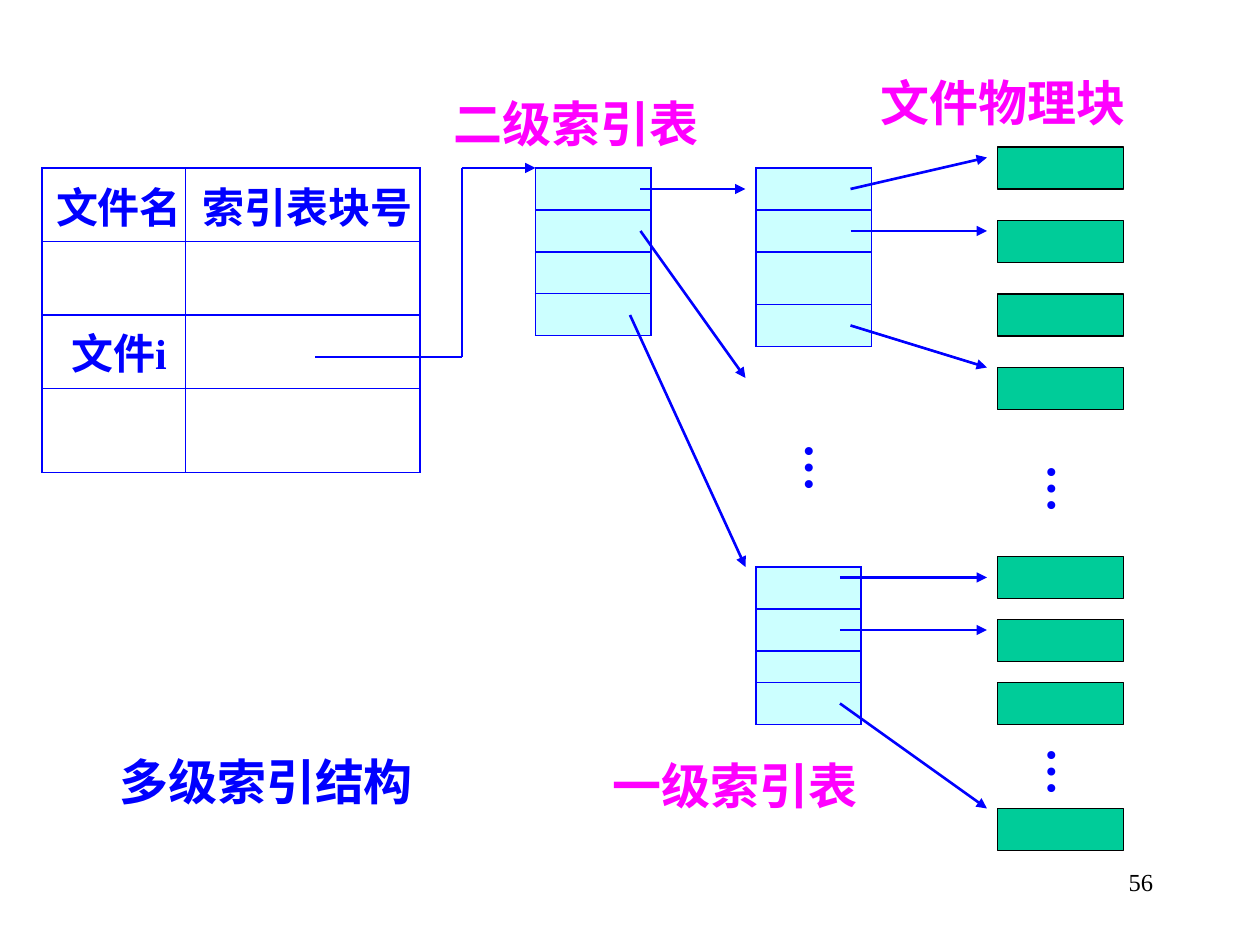
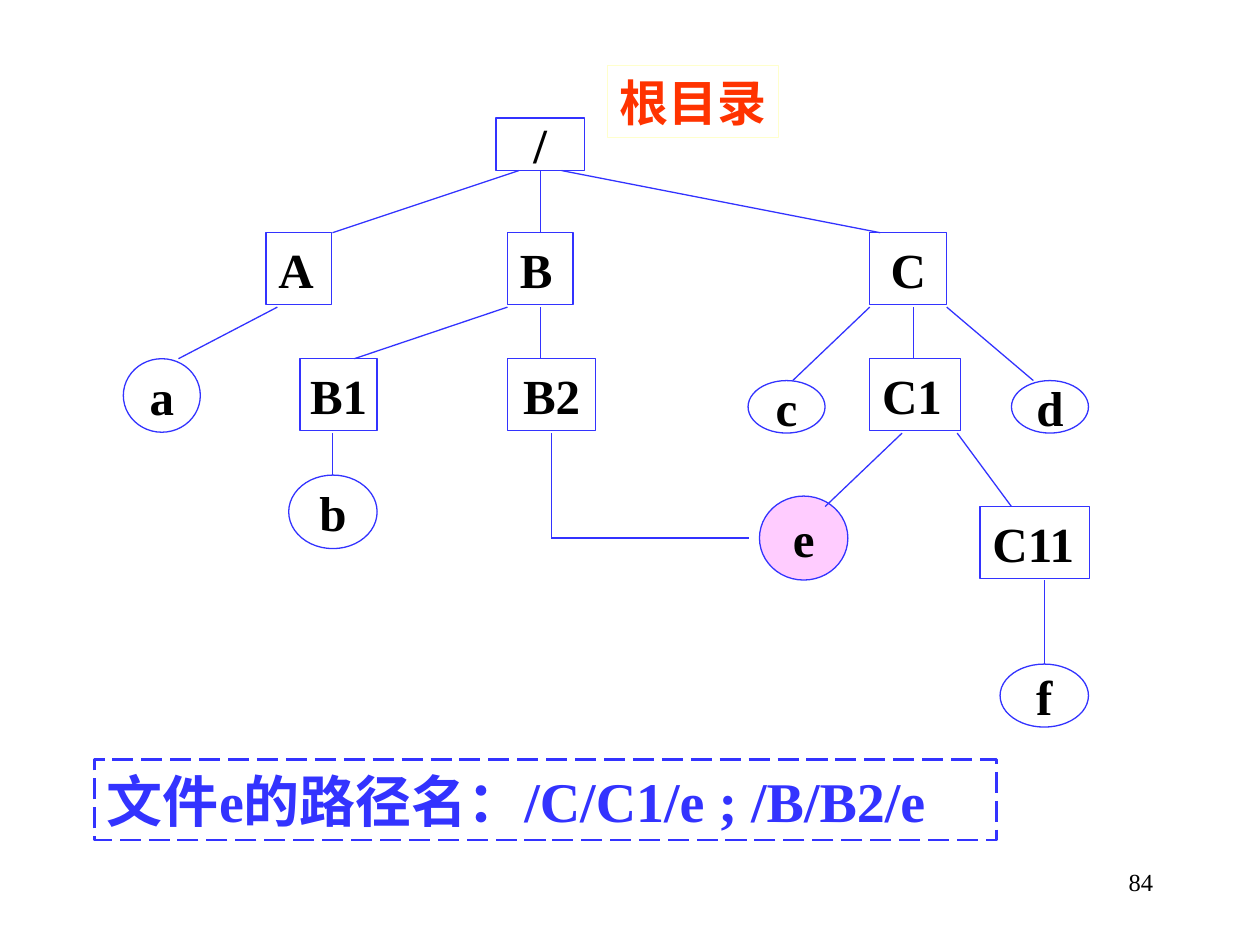
from itertools import pairwise
from typing import Any, NamedTuple

import pptx
import pptx.dml.color
import pptx.enum.dml
import pptx.enum.shapes
import pptx.enum.text
import pptx.oxml.ns
import pptx.util
from lxml import etree

Pt = pptx.util.Pt
qn = pptx.oxml.ns.qn
ALIGN = pptx.enum.text.PP_ALIGN
ANCHOR = pptx.enum.text.MSO_ANCHOR
SHAPE = pptx.enum.shapes.MSO_SHAPE
STRAIGHT = pptx.enum.shapes.MSO_CONNECTOR.STRAIGHT
DASH = pptx.enum.dml.MSO_LINE.LONG_DASH

# Shared look
FACE = "Times New Roman"
BLACK, WHITE = "000000", "FFFFFF"
BLUE, PINK, CYAN, GREEN = "0000FF", "FF00FF", "CCFFFF", "00CC99"
INDIGO, RED, CREAM, ROSE = "3333FF", "FF3300", "FFFFCC", "FFCCFF"
THIN, THICK = 0.75, 1.5


class Label(NamedTuple):
    text: str
    x: float
    y: float
    w: float


class Grid(NamedTuple):
    x: float
    y: float
    cols: list[float]
    rows: list[float]
    fill: str
    words: dict[tuple[int, int], str] = {}


class Node(NamedTuple):
    text: str
    x: float
    y: float
    w: float
    h: float = 41
    kind: Any = SHAPE.RECTANGLE
    fill: str | None = WHITE
    line: str = INDIGO
    left: bool = False
    size: float = 28
    ink: str = BLACK


# Formatting helpers
def shade(hue: str) -> pptx.dml.color.RGBColor:
    return pptx.dml.color.RGBColor.from_string(hue)


def apply(item: Any, form: dict[str, Any]) -> None:
    for key, value in form.items():
        setattr(item, key, value)


def paint(fill: Any, hue: str | None) -> None:
    if hue is None:
        fill.background()
    else:
        fill.solid()
        fill.fore_color.rgb = shade(hue)


def write(frame: Any, text: str, size: float, hue: str,
          align: Any = ALIGN.LEFT, bold: bool = True, **form: Any) -> None:
    apply(frame, form)
    para = frame.paragraphs[0]
    para.alignment = align
    run = para.add_run()
    run.text = text
    apply(run.font, {"name": FACE, "size": Pt(size), "bold": bold})
    run.font.color.rgb = shade(hue)


def inset(side: float, top: float) -> dict[str, Any]:
    return {"margin_left": Pt(side), "margin_right": Pt(side),
            "margin_top": Pt(top), "margin_bottom": Pt(top)}


# Drawing functions
def label(slide: Any, item: Label, size: float, hue: str, **form: Any) -> Any:
    box = slide.shapes.add_textbox(Pt(item.x), Pt(item.y), Pt(item.w), Pt(36))
    write(box.text_frame, item.text, size, hue, **({"word_wrap": True} | form))
    return box


def number(slide: Any, text: str) -> None:
    label(slide, Label(text, 516, 492, 150), 14, BLACK, align=ALIGN.RIGHT, bold=False)


def dots(slide: Any, x: float, y: float) -> None:
    box = label(slide, Label("…", x, y, 48), 28, BLUE, word_wrap=False,
                **inset(3.6, 7.2))
    box.text_frame._txBody.bodyPr.set("vert", "eaVert")


def link(slide: Any, points: list[tuple[float, float]], hue: str,
         width: float, arrow: bool = False) -> None:
    for start, end in pairwise(points):
        line = slide.shapes.add_connector(STRAIGHT, *map(Pt, start + end))
        line.line.color.rgb = shade(hue)
        line.line.width = Pt(width)
        if arrow and end == points[-1]:
            etree.SubElement(line.line._get_or_add_ln(), qn("a:tailEnd"), type="triangle")
        etree.SubElement(line._element.spPr, qn("a:effectLst"))


def edge(cell: Any, hue: str) -> None:
    props = cell._tc.get_or_add_tcPr()
    for side in ("lnL", "lnR", "lnT", "lnB"):
        line = etree.SubElement(props, qn(f"a:{side}"), w=str(Pt(THIN)))
        fill = etree.SubElement(line, qn("a:solidFill"))
        etree.SubElement(fill, qn("a:srgbClr"), val=hue)


def table(slide: Any, grid: Grid) -> None:
    frame = slide.shapes.add_table(len(grid.rows), len(grid.cols), Pt(grid.x), Pt(grid.y),
                                   Pt(sum(grid.cols)), Pt(sum(grid.rows)))
    body = frame.table
    apply(body, {"first_row": False, "horz_banding": False})
    for col, width in zip(body.columns, grid.cols):
        col.width = Pt(width)
    for r, height in enumerate(grid.rows):
        body.rows[r].height = Pt(height)
        for c in range(len(grid.cols)):
            cell = body.cell(r, c)
            edge(cell, BLUE)
            paint(cell.fill, grid.fill)
            apply(cell, inset(0, 0) | {"margin_left": Pt(6),
                                       "vertical_anchor": ANCHOR.MIDDLE})
            if (r, c) in grid.words:
                write(cell.text_frame, grid.words[r, c], 24, BLUE, ALIGN.CENTER)
            else:
                para = cell.text_frame.paragraphs[0]._p
                etree.SubElement(para, qn("a:endParaRPr"), sz="800")


def shape(slide: Any, kind: Any, box: tuple[float, ...], fill: str | None,
          line: str, width: float = THIN) -> Any:
    item = slide.shapes.add_shape(kind, *map(Pt, box))
    item.shadow.inherit = False
    paint(item.fill, fill)
    item.line.color.rgb = shade(line)
    item.line.width = Pt(width)
    return item


def node(slide: Any, item: Node, width: float = THIN) -> Any:
    form = shape(slide, item.kind, item[1:5], item.fill, item.line, width)
    write(form.text_frame, item.text, item.size, item.ink,
          ALIGN.LEFT if item.left else ALIGN.CENTER, word_wrap=False,
          vertical_anchor=ANCHOR.MIDDLE, **inset(7.2 if item.left else 0, 0))
    return form


# Slide 1: index tables
GRIDS = [
    Grid(24, 96, [82, 134], [42, 42, 42, 48], WHITE,
         {(0, 0): "文件名", (0, 1): "索引表块号", (2, 0): "文件i"}),
    Grid(306, 96, [66], [24] * 4, CYAN),
    Grid(432, 96, [66], [24, 24, 30, 24], CYAN),
    Grid(432, 324, [60], [24, 24, 18, 24], CYAN),
]
HEADS = [
    Label("二级索引表", 252, 50, 173),
    Label("一级索引表", 343, 428, 184),
    Label("文件物理块", 496, 38, 181),
]
BLOCKS = [84, 126, 168, 210, 318, 354, 390, 462]
ARROWS = [
    [(180, 204), (264, 204), (264, 96), (306, 96)],
    [(366, 108), (426, 108)],
    [(366, 132), (426, 216)],
    [(360, 180), (426, 324)],
    [(486, 108), (564, 90)],
    [(486, 132), (564, 132)],
    [(486, 186), (564, 210)],
    [(480, 330), (564, 330)],
    [(480, 360), (564, 360)],
    [(480, 402), (564, 462)],
]


def index(deck: Any) -> None:
    slide = deck.slides.add_slide(deck.slide_layouts[5])
    title = slide.shapes.title
    apply(title, {"left": Pt(61), "top": Pt(426), "width": Pt(208), "height": Pt(41)})
    write(title.text_frame, "多级索引结构", 28, BLUE, word_wrap=True,
          auto_size=pptx.enum.text.MSO_AUTO_SIZE.NONE,
          vertical_anchor=ANCHOR.TOP, **inset(7.2, 3.6))
    for grid in GRIDS:
        table(slide, grid)
    for head in HEADS:
        label(slide, head, 28, PINK)
    for y in BLOCKS:
        shape(slide, SHAPE.RECTANGLE, (570, y, 72, 24), GREEN, BLACK)
    for points in ARROWS:
        link(slide, points, BLUE, THICK, True)
    for x, y in [(444, 246), (582.5, 258), (582.5, 420)]:
        dots(slide, x, y)
    number(slide, "56")


# Slide 2: file tree
OVAL = SHAPE.OVAL
NODES = [
    Node("/", 283.5, 67.5, 50.5, 30),
    Node("A", 152, 133, 37.5, left=True),
    Node("B", 290, 133, 37.5, left=True),
    Node("C", 497, 133, 44),
    Node("B1", 171.5, 205, 44),
    Node("B2", 290, 205, 50.5),
    Node("C1", 497, 205, 52, left=True),
    Node("C11", 560, 289.5, 62.5, left=True),
    Node("a", 70.5, 205, 44, 42, OVAL),
    Node("b", 165, 271.5, 50.5, 42, OVAL),
    Node("c", 427.5, 217.5, 44, 30, OVAL),
    Node("d", 578, 217.5, 44, 30, OVAL),
    Node("e", 434, 283.5, 50.5, 48, OVAL, ROSE),
    Node("f", 571.5, 379.5, 50.5, 36, OVAL),
    Node("根目录", 347, 37.5, 98, fill=None, line=CREAM, left=True, ink=RED),
]
ROUTE = Node("文件e的路径名：/C/C1/e ; /B/B2/e", 54, 434, 515.5, 46,
             left=True, size=32, ink=INDIGO)
LINKS = [
    [(309, 97.5), (309, 133)],
    [(296.5, 97.5), (190, 133)],
    [(321, 97.5), (503, 133)],
    [(158.5, 175.5), (102, 205)],
    [(290, 175.5), (202.5, 205)],
    [(309, 175.5), (309, 205)],
    [(497, 175.5), (453, 217.5)],
    [(522, 175.5), (522, 205)],
    [(541, 175.5), (590.5, 217.5)],
    [(190, 247.5), (190, 271.5)],
    [(315, 247.5), (315, 307.5), (428, 307.5)],
    [(515.5, 247.5), (471.5, 289.5)],
    [(547, 247.5), (578, 289.5)],
    [(597, 331.5), (597, 379.5)],
]


def tree(deck: Any) -> None:
    slide = deck.slides.add_slide(deck.slide_layouts[6])
    for item in NODES:
        node(slide, item)
    for points in LINKS:
        link(slide, points, INDIGO, THIN)
    node(slide, ROUTE, THICK).line.dash_style = DASH
    number(slide, "84")


def main() -> None:
    deck = pptx.Presentation()
    apply(deck, {"slide_width": Pt(720), "slide_height": Pt(540)})
    index(deck)
    tree(deck)
    deck.save("out.pptx")


if __name__ == "__main__":
    main()
